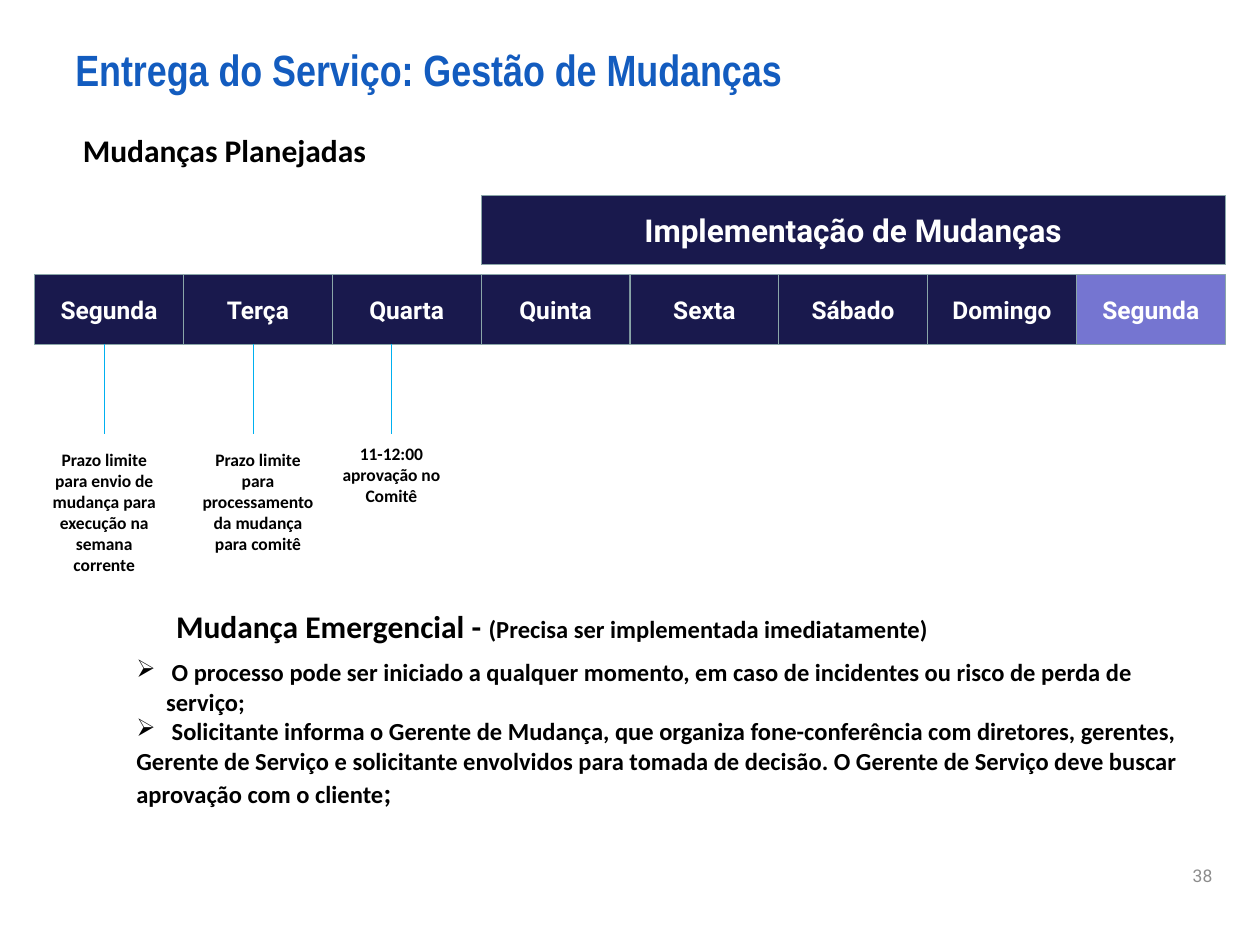
from lxml import etree
from pptx import Presentation
from pptx.dml.color import RGBColor
from pptx.enum.shapes import MSO_CONNECTOR as Connector, MSO_SHAPE as Shape
from pptx.enum.text import MSO_ANCHOR as Anchor, MSO_AUTO_SIZE as AutoSize, PP_ALIGN as Align
from pptx.oxml.ns import qn
from pptx.util import Cm, Pt

COLORS = {"navy": "19194D", "violet": "7575D1", "border": "8AA6A8", "title": "135CBF",
          "line": "00B0F0", "text": "000000", "white": "FFFFFF", "number": "8C8C8C"}
DAYS = ["Segunda", "Terça", "Quarta", "Quinta", "Sexta", "Sábado", "Domingo", "Segunda"]
DEADLINES = [
    (1.4, (0, 3.38, 2.8, 2.82),
     ["Prazo limite", "para envio de mudança para execução na semana corrente"]),
    (4.4, (3, 3.38, 3, 2.39), ["Prazo limite", "para processamento da mudança para comitê"]),
    (7.19, (5.59, 3.27, 3.2, 1.55), ["11-12:00 aprovação no Comitê"]),
]


def color(name):
    """Return the named colour."""
    return RGBColor.from_string(COLORS[name])


def add_run(paragraph, text, size, font="Calibri", fill="text", bold=True):
    """Add one formatted run to a paragraph."""
    run = paragraph.add_run()
    run.text = text
    run.font.size, run.font.name, run.font.bold = Pt(size), font, bold
    run.font.color.rgb = color(fill)


def add_text_box(slide, box, wrap=True, auto_size=AutoSize.SHAPE_TO_FIT_TEXT):
    """Add an empty text box and return its text frame."""
    frame = slide.shapes.add_textbox(*map(Cm, box)).text_frame
    frame.word_wrap, frame.auto_size = wrap, auto_size
    return frame


def next_paragraph(frame, index):
    """Return the first paragraph, or a new one after it."""
    return frame.add_paragraph() if index else frame.paragraphs[0]


def add_block(slide, box, text, size, fill="navy"):
    """Add a filled rectangle with a centred label."""
    shape = slide.shapes.add_shape(Shape.RECTANGLE, *map(Cm, box))
    shape.shadow.inherit = False
    shape.fill.solid()
    shape.fill.fore_color.rgb = color(fill)
    shape.line.color.rgb, shape.line.width = color("border"), Pt(0.5)
    shape.text_frame.vertical_anchor = Anchor.MIDDLE
    paragraph = shape.text_frame.paragraphs[0]
    paragraph.alignment = Align.CENTER
    add_run(paragraph, text, size, "Roboto", "white")


def add_line(slide, x, top, bottom):
    """Add a thin vertical line."""
    line = slide.shapes.add_connector(Connector.STRAIGHT, Cm(x), Cm(top), Cm(x), Cm(bottom))
    line.line.color.rgb, line.line.width = color("line"), Pt(0.5)
    etree.SubElement(line._element.spPr, qn("a:effectLst"))


def add_title(slide, box):
    """Add the slide title."""
    frame = add_text_box(slide, box, auto_size=AutoSize.NONE)
    frame.vertical_anchor = Anchor.MIDDLE
    add_run(frame.paragraphs[0], "Entrega do Serviço: Gestão de Mudanças", 25,
            "Arial Narrow", "title")


def add_heading(slide, box, text, note=""):
    """Add a section heading with an optional smaller note."""
    paragraph = add_text_box(slide, box, wrap=False).paragraphs[0]
    add_run(paragraph, text, 18)
    if note:
        add_run(paragraph, note, 14)


def add_week(slide, left, top, width):
    """Add the week band, the implementation window and the deadlines."""
    day_width, height = width / len(DAYS), 1.4
    for index, day in enumerate(DAYS):
        fill = "violet" if index == len(DAYS) - 1 else "navy"
        add_block(slide, (left + index * day_width, top, day_width, height), day, 14, fill)
    start = 3 * day_width
    add_block(slide, (left + start, top - 1.6, width - start, height),
              "Implementação de Mudanças", 18)
    for line_x, (x, y, box_width, box_height), lines in DEADLINES:
        add_line(slide, left + line_x, top + height, top + 3.2)
        frame = add_text_box(slide, (left + x, top + y, box_width, box_height))
        for index, text in enumerate(lines):
            paragraph = next_paragraph(frame, index)
            paragraph.alignment = Align.CENTER
            add_run(paragraph, text, 10)


def add_bullet(paragraph, indent):
    """Give a paragraph an arrow bullet with a hanging indent."""
    properties = paragraph._p.get_or_add_pPr()
    properties.set("marL", str(Cm(indent)))
    properties.set("indent", str(-Cm(indent)))
    etree.SubElement(properties, qn("a:buChar")).set("char", "➢")


def add_emergency_rules(slide, box):
    """Add the rules for emergency changes."""
    frame = add_text_box(slide, box)
    rules = [
        (True, " O processo pode ser iniciado a qualquer momento, em caso de incidentes "
               "ou risco de perda de serviço;"),
        (True, " Solicitante informa o Gerente de Mudança, que organiza fone-conferência "
               "com diretores, gerentes,"),
        (False, "Gerente de Serviço e solicitante envolvidos para tomada de decisão. "
                "O Gerente de Serviço deve buscar aprovação com o cliente"),
    ]
    for index, (bulleted, text) in enumerate(rules):
        paragraph = next_paragraph(frame, index)
        if bulleted:
            add_bullet(paragraph, 0.6)
        add_run(paragraph, text, 14)
    add_run(paragraph, ";", 16)


def add_page_number(slide, box):
    """Add the page number."""
    paragraph = add_text_box(slide, box, auto_size=AutoSize.NONE).paragraphs[0]
    paragraph.alignment = Align.RIGHT
    add_run(paragraph, "38", 10, "Roboto", "number", bold=False)


def main():
    """Build and save the slide."""
    presentation = Presentation()
    presentation.slide_width, presentation.slide_height = Cm(25.4), Cm(19.05)
    slide = presentation.slides.add_slide(presentation.slide_layouts[6])
    add_title(slide, (1.27, 0.76, 22.86, 1.25))
    add_heading(slide, (1.42, 2.52, 6.27, 1.02), "Mudanças Planejadas")
    add_week(slide, 0.7, 5.54, 24)
    add_heading(slide, (3.3, 12.12, 15.82, 1.02), "Mudança Emergencial - ",
                "(Precisa ser implementada imediatamente)")
    add_emergency_rules(slide, (2.5, 13.13, 21.82, 2.74))
    add_page_number(slide, (18.77, 17.32, 5.92, 1.02))
    presentation.save("out.pptx")


if __name__ == "__main__":
    main()
